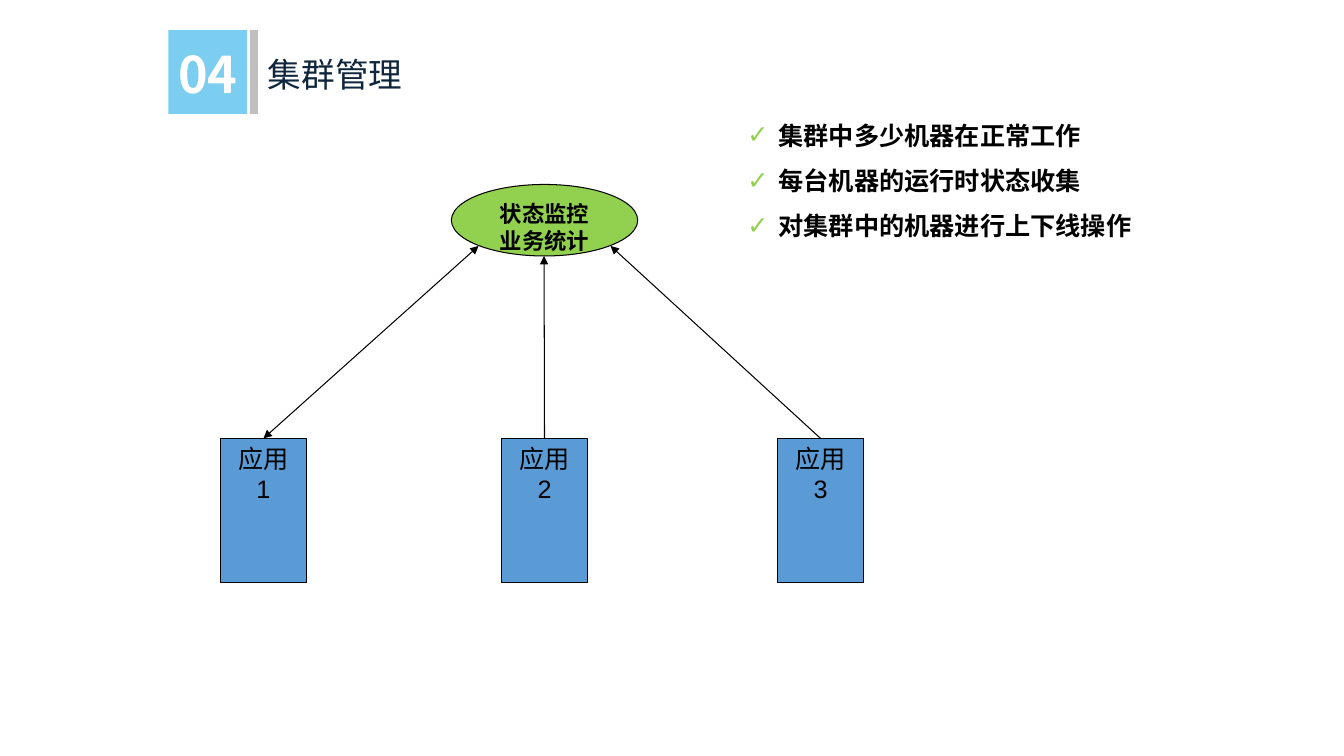
from dataclasses import dataclass

from lxml import etree
from pptx import Presentation
from pptx.dml.color import RGBColor
from pptx.enum.shapes import MSO_CONNECTOR, MSO_SHAPE
from pptx.enum.text import MSO_ANCHOR, MSO_AUTO_SIZE, PP_ALIGN
from pptx.oxml.ns import qn
from pptx.util import Inches, Pt

RECTANGLE, OVAL = MSO_SHAPE.RECTANGLE, MSO_SHAPE.OVAL
STRAIGHT = MSO_CONNECTOR.STRAIGHT
LEFT, CENTER = PP_ALIGN.LEFT, PP_ALIGN.CENTER
TOP = MSO_ANCHOR.TOP
FIT_SHAPE = MSO_AUTO_SIZE.SHAPE_TO_FIT_TEXT

NUMBER = "04"
TITLE = "集群管理"
MONITOR = ["状态监控", "业务统计"]
CHECKS = ["集群中多少机器在正常工作", "每台机器的运行时状态收集", "对集群中的机器进行上下线操作"]
APPLICATIONS = [
    {"lines": ["应用", "1"], "left": 2.19, "target": (4.75, 2.44), "ends": ("headEnd", "tailEnd")},
    {"lines": ["应用", "2"], "left": 4.98, "target": (5.4, 2.54), "ends": ("tailEnd",)},
    {"lines": ["应用", "3"], "left": 7.72, "target": (6.06, 2.44), "ends": ("tailEnd",)},
]

BADGE_AREA = (1.67, 0.3, 0.78, 0.83)
BAR_AREA = (2.48, 0.3, 0.08, 0.83)
NUMBER_AREA = (1.67, 0.38, 0.89, 0.7)
TITLE_AREA = (2.56, 0.48, 9.7, 0.5)
MONITOR_AREA = (4.48, 1.83, 1.85, 0.71)
CHECKS_AREA = (7.32, 0.99, 4.35, 1.9)
APPLICATION_TOP, APPLICATION_WIDTH, APPLICATION_HEIGHT = 4.35, 0.85, 1.43
BULLET_INDENT = 0.31


@dataclass(frozen=True)
class Theme:
    badge: str = "7CCEF1"
    bar: str = "BFBFBF"
    green: str = "92D050"
    blue: str = "5B9BD5"
    title: str = "10263C"
    black: str = "000000"
    white: str = "FFFFFF"
    latin: str = "Arial"
    chinese: str = "Noto Sans CJK SC"
    number_size: int = 36
    title_size: int = 24
    body_size: int = 18
    monitor_size: int = 16
    line_width: float = 0.75


THEME = Theme()
TEXT_STYLES = {
    "number": {"name": THEME.chinese, "size": Pt(THEME.number_size), "bold": True, "color": THEME.white},
    "title": {"name": THEME.latin, "size": Pt(THEME.title_size), "bold": False, "color": THEME.title},
    "monitor": {"name": THEME.latin, "size": Pt(THEME.monitor_size), "bold": True, "color": THEME.black},
    "application": {"name": THEME.latin, "size": Pt(THEME.body_size), "bold": False, "color": THEME.black},
    "checks": {"name": THEME.chinese, "size": Pt(THEME.body_size), "bold": True, "color": THEME.black},
}


def inches(values):
    return [Inches(value) for value in values]


def set_text(shape, lines, style, alignment=LEFT, line_spacing=None):
    frame = shape.text_frame
    frame.word_wrap = True
    frame.vertical_anchor = TOP
    frame.text = "\n".join(lines)
    for paragraph in frame.paragraphs:
        paragraph.alignment = alignment
        paragraph.line_spacing = line_spacing
        for run in paragraph.runs:
            for name, value in TEXT_STYLES[style].items():
                if name == "color":
                    run.font.color.rgb = RGBColor.from_string(value)
                else:
                    setattr(run.font, name, value)
            properties = run.font._element if hasattr(run.font, "_element") else run._r.get_or_add_rPr()
            etree.SubElement(properties, qn("a:ea"), typeface=THEME.chinese)


def set_line(line):
    line.color.rgb = RGBColor.from_string(THEME.black)
    line.width = Pt(THEME.line_width)


def add_block(slide, kind, area, fill, outlined=False):
    shape = slide.shapes.add_shape(kind, *inches(area))
    shape.shadow.inherit = False
    shape.fill.solid()
    shape.fill.fore_color.rgb = RGBColor.from_string(fill)
    if outlined:
        set_line(shape.line)
    else:
        shape.line.fill.background()
    return shape


def add_text(slide, area, lines, style, line_spacing=None):
    shape = slide.shapes.add_textbox(*inches(area))
    set_text(shape, lines, style, line_spacing=line_spacing)
    shape.text_frame.auto_size = FIT_SHAPE
    return shape


def add_arrow(slide, application, target, ends):
    start = application.left + application.width // 2, application.top
    connector = slide.shapes.add_connector(STRAIGHT, *start, *inches(target))
    connector.begin_connect(application, 0)
    set_line(connector.line)
    line = connector.line._get_or_add_ln()
    for end in ends:
        etree.SubElement(line, qn(f"a:{end}"), type="triangle")
    etree.SubElement(connector._element.spPr, qn("a:effectLst"))


def add_check_marks(shape):
    for paragraph in shape.text_frame.paragraphs:
        properties = paragraph._p.get_or_add_pPr()
        properties.set("marL", str(Inches(BULLET_INDENT)))
        properties.set("indent", str(-Inches(BULLET_INDENT)))
        color = etree.SubElement(properties, qn("a:buClr"))
        etree.SubElement(color, qn("a:srgbClr"), val=THEME.green)
        etree.SubElement(properties, qn("a:buFont"), typeface=THEME.latin)
        etree.SubElement(properties, qn("a:buChar"), char="✓")


def main():
    presentation = Presentation()
    presentation.slide_width, presentation.slide_height = inches((13.34, 7.5))
    slide = presentation.slides.add_slide(presentation.slide_layouts[5])

    title = slide.shapes.title
    title.left, title.top, title.width, title.height = inches(TITLE_AREA)
    set_text(title, [TITLE], "title")
    title.text_frame.auto_size = FIT_SHAPE

    add_block(slide, RECTANGLE, BADGE_AREA, THEME.badge)
    add_block(slide, RECTANGLE, BAR_AREA, THEME.bar)
    add_text(slide, NUMBER_AREA, [NUMBER], "number")

    monitor = add_block(slide, OVAL, MONITOR_AREA, THEME.green, outlined=True)
    set_text(monitor, MONITOR, "monitor", CENTER)

    for item in APPLICATIONS:
        area = (item["left"], APPLICATION_TOP, APPLICATION_WIDTH, APPLICATION_HEIGHT)
        application = add_block(slide, RECTANGLE, area, THEME.blue, outlined=True)
        set_text(application, item["lines"], "application", CENTER)
        add_arrow(slide, application, item["target"], item["ends"])

    add_check_marks(add_text(slide, CHECKS_AREA, CHECKS, "checks", line_spacing=1.5))
    presentation.save("out.pptx")


if __name__ == "__main__":
    main()
